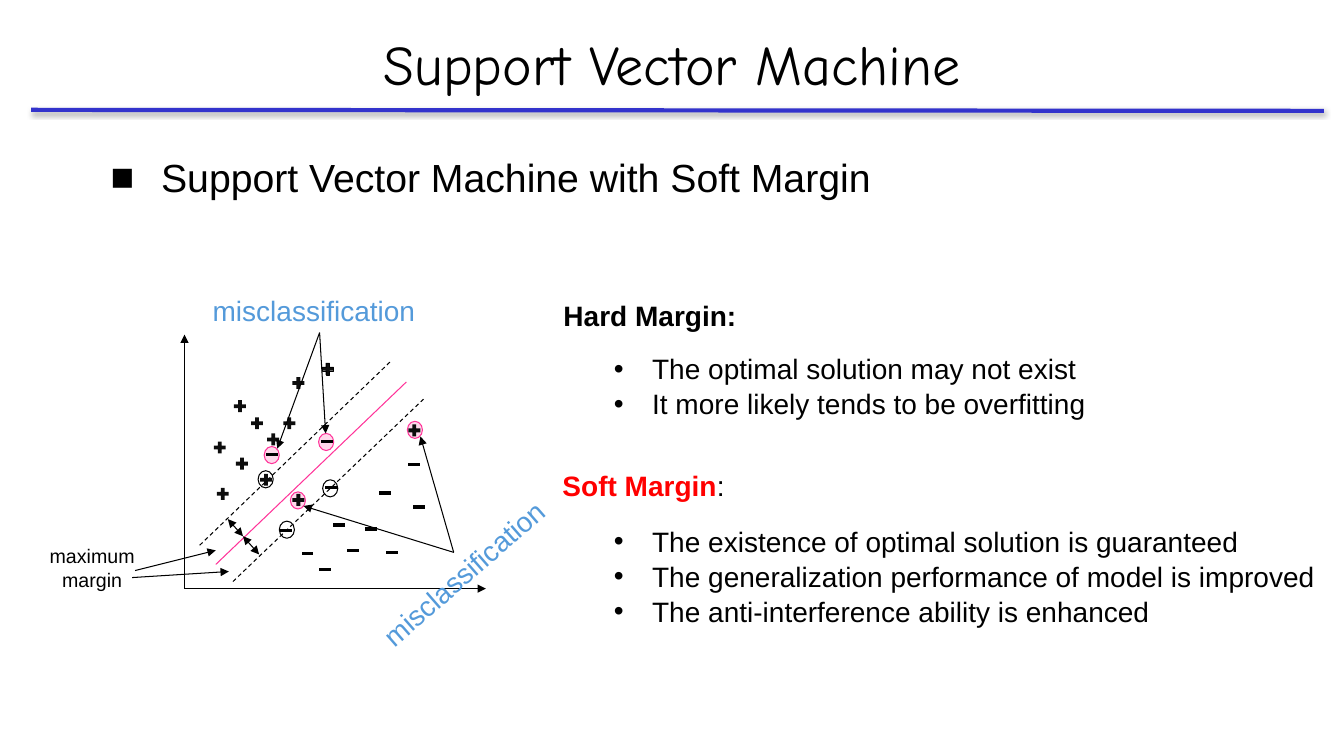
import pptx
import pptx.dml.color
import pptx.enum.dml
import pptx.enum.shapes
import pptx.enum.text
import pptx.oxml
import pptx.oxml.ns
import pptx.util

EMU_PER_PX = 9144  # 100 px to the inch
COLORS = {
    "black": "000000", "plus": "0D0D0D", "rule": "3333CC", "pink": "FF3399",
    "pink_fill": "FF409F", "red": "FF0000", "blue": "549ADA",
}
ALIGN = pptx.enum.text.PP_ALIGN
SHAPE = pptx.enum.shapes.MSO_SHAPE
A_NS = pptx.oxml.ns.nsdecls("a")


def write_text(text, at, size=20, color="black", bold=False, align=ALIGN.LEFT, font="Arial",
               bullet=None, indent=0, spacing=None, suffix="", rotation=0, box=None):
    """Write each line of text as a paragraph; suffix is a plain black ending."""
    area = [value * EMU_PER_PX for value in at]
    if box is None:
        box = slide.shapes.add_textbox(*area)
    box.left, box.top, box.width, box.height = area
    box.rotation = rotation
    frame = box.text_frame
    frame.word_wrap = True
    frame.auto_size = pptx.enum.text.MSO_AUTO_SIZE.NONE
    for number, line in enumerate(text.split("\n")):
        paragraph = frame.add_paragraph() if number else frame.paragraphs[0]
        paragraph.alignment = align
        paragraph.line_spacing = spacing
        if bullet:
            properties = paragraph._p.get_or_add_pPr()
            properties.set("marL", str(indent * EMU_PER_PX))
            properties.set("indent", str(-indent * EMU_PER_PX))
            properties.append(pptx.oxml.parse_xml(f'<a:buFont {A_NS} typeface="Arial"/>'))
            properties.append(pptx.oxml.parse_xml(f'<a:buChar {A_NS} char="{bullet}"/>'))
        for words, shade, weight in ((line, color, bold), (suffix, "black", False)):
            if words:
                run = paragraph.add_run()
                run.text = words
                run.font.name = font
                run.font.size = pptx.util.Pt(size)
                run.font.bold = weight
                run.font.color.rgb = pptx.dml.color.RGBColor.from_string(COLORS[shade])
    return box


def draw_line(x1, y1, x2, y2, color="black", width=0.75, dashed=False, arrows=(), effect=""):
    """Draw a straight line; arrows names the ends that carry a head."""
    line = slide.shapes.add_connector(
        pptx.enum.shapes.MSO_CONNECTOR.STRAIGHT, *(v * EMU_PER_PX for v in (x1, y1, x2, y2)))
    line.line.color.rgb = pptx.dml.color.RGBColor.from_string(COLORS[color])
    line.line.width = pptx.util.Pt(width)
    if dashed:
        line.line.dash_style = pptx.enum.dml.MSO_LINE.DASH
    for end in arrows:
        line.line._get_or_add_ln().append(
            pptx.oxml.parse_xml(f'<a:{end} {A_NS} type="triangle"/>'))
    line._element.spPr.append(
        pptx.oxml.parse_xml(f"<a:effectLst {A_NS}>{effect}</a:effectLst>"))


presentation = pptx.Presentation()
presentation.slide_width = 1333 * EMU_PER_PX
presentation.slide_height = 750 * EMU_PER_PX
slide = presentation.slides.add_slide(presentation.slide_layouts[5])

# Title and the rule under it
draw_line(31, 109, 1313, 110, "rule", 3, effect=(
    '<a:outerShdw blurRad="39370" dist="22860" dir="5400000" rotWithShape="0">'
    '<a:srgbClr val="000000"><a:alpha val="35000"/></a:srgbClr></a:outerShdw>'))
title = slide.shapes.title
write_text("Support Vector Machine", (0, 21, 1333, 83), 40, font="Comic Neue",
           align=ALIGN.CENTER, box=title)
title.text_frame.vertical_anchor = pptx.enum.text.MSO_ANCHOR.MIDDLE

# Circles: misclassified points in pink, support vectors in black
misclassified = [(316, 430), (288, 488), (262, 443), (404, 418)]
support_vectors = [(256, 467), (277, 517), (320, 476)]
for x, y in misclassified + support_vectors:
    circle = slide.shapes.add_shape(
        SHAPE.FLOWCHART_CONNECTOR, *(v * EMU_PER_PX for v in (x, y, 15, 17)))
    circle.shadow.inherit = False
    circle.line.width = pptx.util.Pt(0.75)
    if (x, y) in misclassified:
        outline = "pink"
        circle.fill.solid()
        circle.fill.fore_color.rgb = pptx.dml.color.RGBColor.from_string(COLORS["pink_fill"])
        tint = circle._element.spPr.find(".//" + pptx.oxml.ns.qn("a:srgbClr"))
        tint.append(pptx.oxml.parse_xml(f'<a:alpha {A_NS} val="20000"/>'))
    else:
        outline = "black"
        circle.fill.background()
    circle.line.color.rgb = pptx.dml.color.RGBColor.from_string(COLORS[outline])

# Axes, separating line and margin borders
draw_line(183, 584, 183, 332, arrows=["tailEnd"])
draw_line(183, 584, 482, 584, arrows=["tailEnd"])
draw_line(214, 560, 403, 379, "pink")
draw_line(231, 577, 420, 396, dashed=True)
draw_line(198, 541, 387, 359, dashed=True)

# Positive and negative samples
outlined_plus = (317, 358)
pluses = [(230, 395), (247, 412), (263, 428), (210, 436), (288, 372), (232, 452), (213, 482),
          outlined_plus, (279, 412), (256, 468), (288, 488), (403, 419)]
minuses = [(276, 519), (320, 477), (297, 542), (314, 558), (342, 539), (360, 518), (328, 514),
           (374, 482), (381, 541), (403, 454), (408, 496), (316, 431), (262, 444)]
for sign, height, color, places in ((SHAPE.MATH_PLUS, 16, "plus", pluses),
                                    (SHAPE.MATH_MINUS, 14, "black", minuses)):
    for place in places:
        sample = slide.shapes.add_shape(
            sign, *(v * EMU_PER_PX for v in (*place, 16, height)))
        sample.shadow.inherit = False
        sample.fill.solid()
        sample.fill.fore_color.rgb = pptx.dml.color.RGBColor.from_string(COLORS[color])
        if place == outlined_plus:
            sample.line.color.rgb = pptx.dml.color.RGBColor.from_string(COLORS["black"])
            sample.line.width = pptx.util.Pt(0.25)
        else:
            sample.line.fill.background()

# Heading and the two margin lists
write_text("Support Vector Machine with Soft Margin", (100, 147, 800, 57), 28,
           bullet="■", indent=50)
write_text("Hard Margin:", (549, 291, 323, 44), bold=True, align=ALIGN.JUSTIFY)
write_text("Soft Margin", (548, 460, 318, 44), color="red", bold=True,
           align=ALIGN.JUSTIFY, suffix=":")
hard_points = "The optimal solution may not exist\nIt more likely tends to be overfitting"
soft_points = ("The existence of optimal solution is guaranteed\n"
               "The generalization performance of model is improved\n"
               "The anti-interference ability is enhanced")
for points, area in ((hard_points, (599, 343, 496, 77)), (soft_points, (599, 514, 723, 111))):
    write_text(points, area, align=ALIGN.JUSTIFY, bullet="•", indent=38, spacing=1.04)

# Diagram labels
write_text("maximum margin", (25, 535, 133, 57), 14, align=ALIGN.CENTER)
write_text("misclassification", (348, 543, 232, 44), color="blue", rotation=318.8)
write_text("misclassification", (201, 286, 232, 44), color="blue")

# Pointers from the labels
for pointer in ((134, 566, 214, 546), (131, 573, 227, 567),
                (450, 548, 417, 433), (450, 548, 301, 502),
                (317, 330, 275, 445), (317, 330, 323, 430)):
    draw_line(*pointer, arrows=["tailEnd"])

# Margin widths on both sides of the separating line
for span in ((226, 515, 241, 532), (241, 532, 257, 550)):
    draw_line(*span, arrows=["headEnd", "tailEnd"])

presentation.save("out.pptx")
